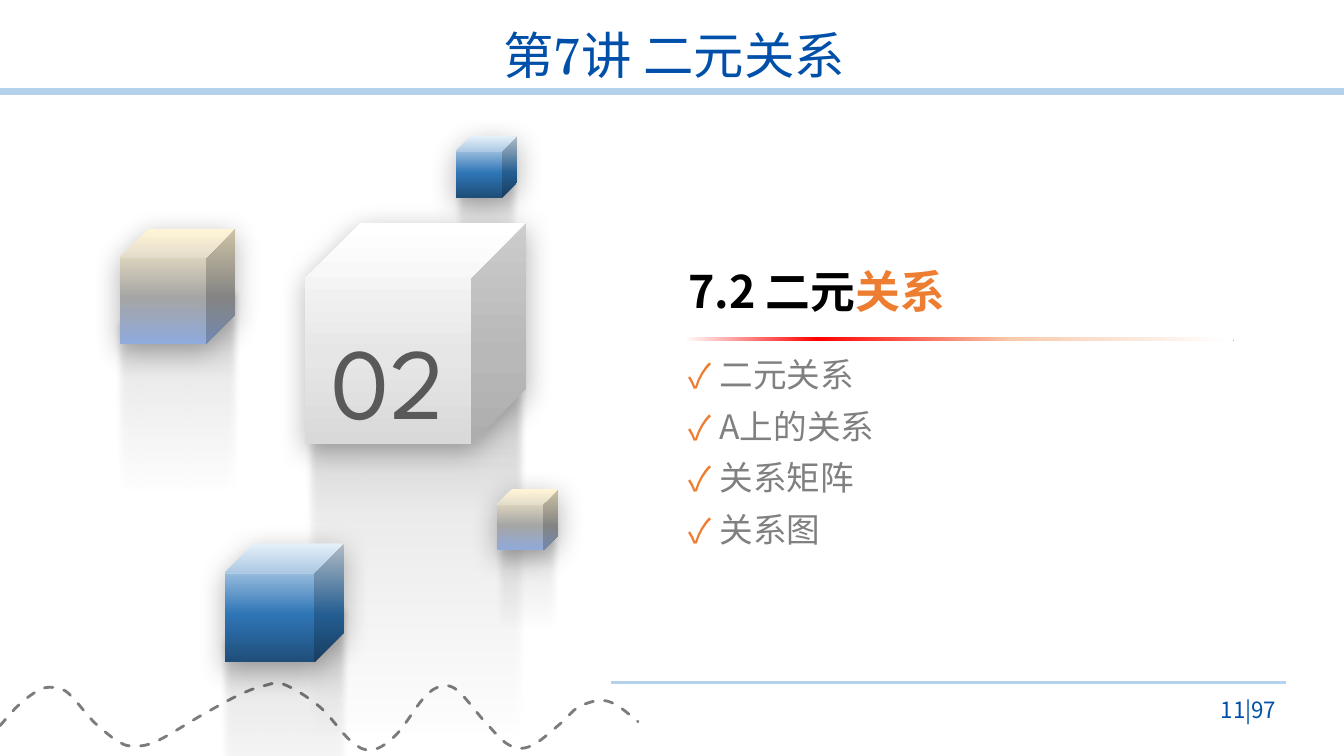
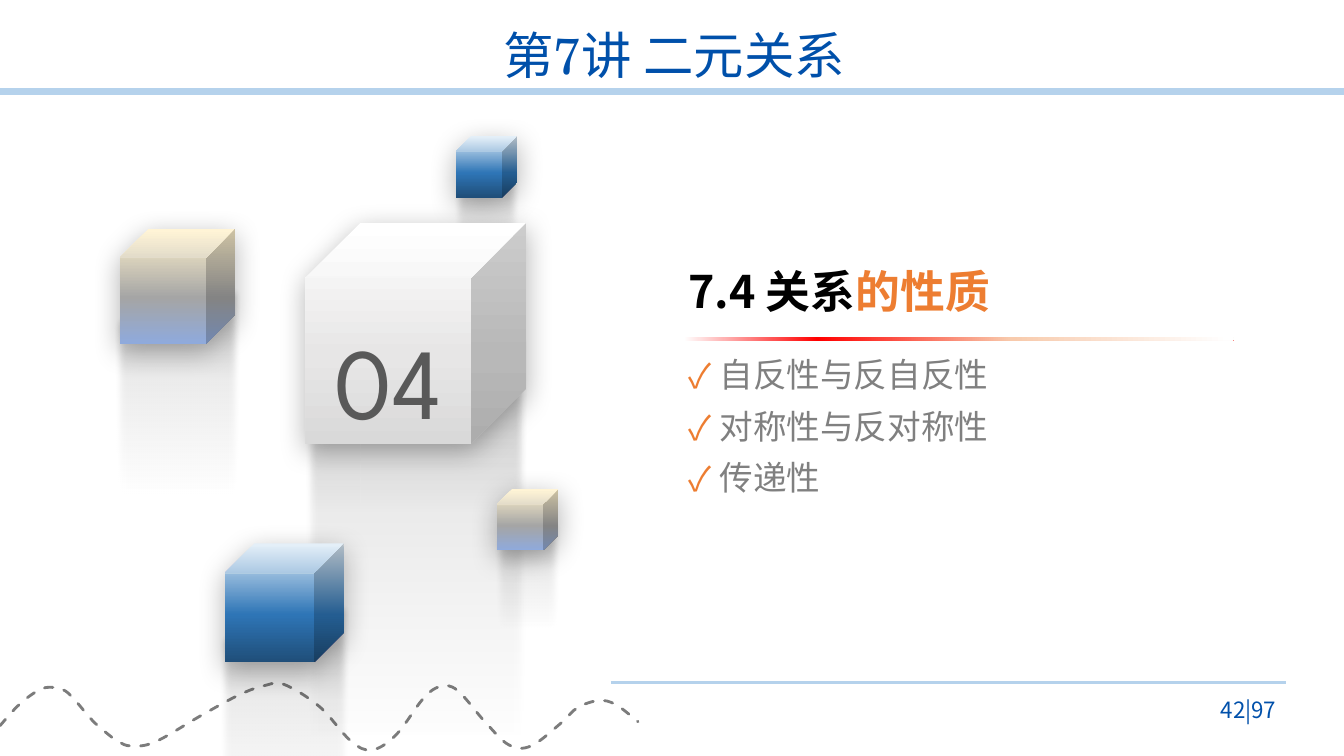
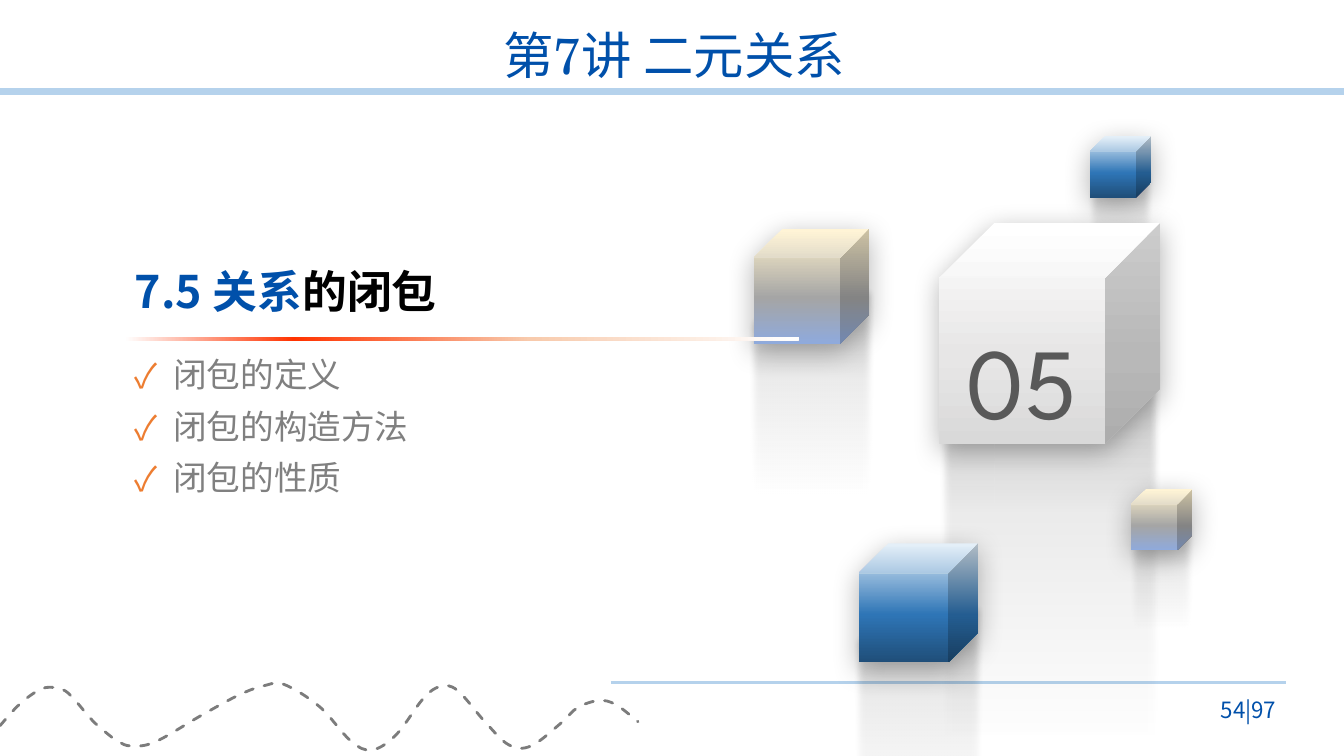
from dataclasses import dataclass
from lxml import etree
from pptx import Presentation
from pptx.dml.color import RGBColor
from pptx.enum.dml import MSO_LINE
from pptx.enum.shapes import MSO_CONNECTOR, MSO_SHAPE
from pptx.enum.text import MSO_ANCHOR, MSO_AUTO_SIZE, PP_ALIGN
from pptx.oxml import parse_xml
from pptx.oxml.ns import nsdecls, qn
from pptx.util import Inches, Pt

CUBE, ROUNDED = MSO_SHAPE.CUBE, MSO_SHAPE.ROUNDED_RECTANGLE
TOP, MIDDLE, BOTTOM = MSO_ANCHOR.TOP, MSO_ANCHOR.MIDDLE, MSO_ANCHOR.BOTTOM
LEFT, CENTER, RIGHT = PP_ALIGN.LEFT, PP_ALIGN.CENTER, PP_ALIGN.RIGHT


@dataclass(frozen=True)
class Theme:
    blue: str = "0050AA"
    band: str = "B5D2EC"
    black: str = "000000"
    orange: str = "ED7D31"
    gray: str = "808080"
    numeral: str = "595959"
    wave: str = "7C7C7C"
    body_font: str = "Noto Sans CJK SC"
    title_font: str = "TeX Gyre Schola"
    number_font: str = "League Spartan"
    title_size: int = 36
    heading_size: int = 32
    item_size: int = 24
    page_size: int = 16
    number_size: int = 72


THEME = Theme()

LECTURE = "第7讲 二元关系"
PAGE_TOTAL = 97
SECTIONS = [
    dict(number="02", page=11, cubes_left=1.13, text_left=6.73, heading_width=5.51,
         rule_width=5.51, rule_start=1, rule_color="FF0000", indent=0.31,
         heading=[("7.2 二元", THEME.black), ("关系", THEME.orange)],
         items=["二元关系", "A上的关系", "关系矩阵", "关系图"]),
    dict(number="04", page=42, cubes_left=1.13, text_left=6.73, heading_width=5.51,
         rule_width=5.51, rule_start=1, rule_color="FF0000", indent=0.31,
         heading=[("7.4 关系", THEME.black), ("的性质", THEME.orange)],
         items=["自反性与反自反性", "对称性与反对称性", "传递性"]),
    dict(number="05", page=54, cubes_left=7.42, text_left=1.24, heading_width=3.26,
         rule_width=6.69, rule_start=0, rule_color="FF3300", indent=0.38,
         heading=[("7.5 关系", THEME.blue), ("的闭包", THEME.black)],
         items=["闭包的定义", "闭包的构造方法", "闭包的性质"]),
]
ITEMS_TOP, ITEM_PITCH = 3.46, 1.54 / 3

BLUE_FADE = [(1, "DEEBF7"), (60, "2E75B6"), (100, "1F4E79")]
GOLD_FADE = [(1, "FFF2CC"), (60, "A5A5A5"), (100, "8FAADC")]
WHITE_FADE = [(0, "FFFFFF"), (60, "E7E6E6"), (100, "D9D9D9")]
TRAIL_FADE = [(30, "000000", 0), (50, "000000", 4), (70, "000000", 8), (100, "262626", 30)]

# left offset, top, size, trail width ratio, fade, numbered
CUBES = [
    (3.39, 1.35, 0.61, 1.11, BLUE_FADE, False),
    (1.9, 2.21, 2.19, 1.01, WHITE_FADE, True),
    (1.1, 5.39, 1.18, 1.11, BLUE_FADE, False),
    (3.8, 4.85, 0.61, 1.11, GOLD_FADE, False),
    (0.06, 2.27, 1.14, 1.11, GOLD_FADE, False),
]
TRAIL_HEIGHT = 2.71

WAVE = [
    (0, 7.2), (0.17, 7.01), (0.33, 6.88), (0.46, 6.82), (0.62, 6.84), (0.73, 6.93),
    (0.92, 7.15), (1.08, 7.29), (1.18, 7.36), (1.3, 7.4), (1.54, 7.36), (2.01, 7.09),
    (2.38, 6.89), (2.63, 6.8), (2.82, 6.79), (3.17, 7.01), (3.48, 7.35), (3.69, 7.44),
    (3.93, 7.29), (4.2, 6.93), (4.37, 6.81), (4.54, 6.85), (4.82, 7.17), (5.05, 7.39),
    (5.27, 7.4), (5.57, 7.17), (5.73, 7.02), (5.94, 6.95), (6.11, 6.99), (6.33, 7.16),
]


def rgb(color):
    return RGBColor.from_string(color)


def set_gradient(shape, stops, angle):
    shape.fill.background()
    shape.line.fill.background()
    shape.shadow.inherit = False
    marks = ""
    for position, color, *alpha in stops:
        opacity = f'<a:alpha val="{alpha[0] * 1000}"/>' if alpha else ""
        marks += f'<a:gs pos="{position * 1000}"><a:srgbClr val="{color}">{opacity}</a:srgbClr></a:gs>'
    gradient = parse_xml(
        f'<a:gradFill {nsdecls("a")} rotWithShape="1"><a:gsLst>{marks}</a:gsLst>'
        f'<a:lin ang="{angle * 60000}" scaled="0"/></a:gradFill>')
    properties = shape._element.spPr
    properties.replace(properties.find(qn("a:noFill")), gradient)


def add_effect(shape, markup):
    shape._element.spPr.find(qn("a:effectLst")).append(parse_xml(markup))


def style(paragraph, size, color, font=THEME.body_font, bold=False, align=LEFT):
    paragraph.alignment = align
    paragraph.font.size = Pt(size)
    paragraph.font.bold = bold
    paragraph.font.color.rgb = rgb(color)
    paragraph.font.name = font
    defaults = paragraph._p.pPr.find(qn("a:defRPr"))
    etree.SubElement(defaults, qn("a:ea")).set("typeface", THEME.body_font)


def add_box(slide, left, top, width, height, anchor, grow=True):
    box = slide.shapes.add_textbox(Inches(left), Inches(top), Inches(width), Inches(height))
    frame = box.text_frame
    frame.word_wrap = True
    frame.vertical_anchor = anchor
    if grow:
        frame.auto_size = MSO_AUTO_SIZE.SHAPE_TO_FIT_TEXT
    return frame


def add_line(slide, left, right, top, weight):
    line = slide.shapes.add_connector(
        MSO_CONNECTOR.STRAIGHT, Inches(left), Inches(top), Inches(right), Inches(top))
    line.line.color.rgb = rgb(THEME.band)
    line.line.width = Pt(weight)
    etree.SubElement(line._element.spPr, qn("a:effectLst"))


def round_corners(wave, points):
    padded = [points[0], *points, points[-1]]
    segments = list(wave._element.iter(qn("a:lnTo")))
    for segment, a, b, c, d in zip(segments, padded, padded[1:], padded[2:], padded[3:]):
        curve = etree.Element(qn("a:cubicBezTo"))
        leaving = [q + (r - p) / 6 for p, q, r in zip(a, b, c)]
        arriving = [r - (s - q) / 6 for q, r, s in zip(b, c, d)]
        for x, y in (leaving, arriving, c):
            point = etree.SubElement(curve, qn("a:pt"))
            point.set("x", str(round(x - wave.left)))
            point.set("y", str(round(y - wave.top)))
        segment.getparent().replace(segment, curve)


def add_wave(slide):
    points = [(Inches(x), Inches(y)) for x, y in WAVE]
    builder = slide.shapes.build_freeform(*points[0])
    builder.add_line_segments(points[1:], close=False)
    wave = builder.convert_to_shape()
    round_corners(wave, points)
    wave.shadow.inherit = False
    wave.fill.background()
    wave.line.color.rgb = rgb(THEME.wave)
    wave.line.width = Pt(2)
    wave.line.dash_style = MSO_LINE.DASH
    wave._element.spPr.find(qn("a:ln")).set("cap", "rnd")


def add_frame(slide, page):
    add_line(slide, 0, 13.33, 0.91, 5)
    add_line(slide, 6.06, 12.76, 6.77, 1.75)
    add_wave(slide)
    title = add_box(slide, 1.57, 0.25, 10.24, 0.65, MIDDLE).paragraphs[0]
    title.text = LECTURE
    title.line_spacing = 0.9
    style(title, THEME.title_size, THEME.blue, THEME.title_font, align=CENTER)
    footer = add_box(slide, 11.71, 6.84, 1.05, 0.4, MIDDLE, grow=False).paragraphs[0]
    footer.text = f"{page}|{PAGE_TOTAL}"
    style(footer, THEME.page_size, THEME.blue, align=RIGHT)


def add_cubes(slide, origin, number):
    for offset, top, size, ratio, fade, numbered in CUBES:
        left = origin + offset
        width = size * ratio
        group = slide.shapes.add_group_shape()
        trail = group.shapes.add_shape(
            CUBE, Inches(left - (width - size) / 2), Inches(top + size / 2),
            Inches(width), Inches(size * TRAIL_HEIGHT))
        trail.rotation = 180
        set_gradient(trail, TRAIL_FADE, 90)
        add_effect(trail, f'<a:softEdge {nsdecls("a")} rad="{Pt(5)}"/>')
        cube = group.shapes.add_shape(CUBE, Inches(left), Inches(top), Inches(size), Inches(size))
        set_gradient(cube, fade, 90)
        add_effect(cube, f'<a:outerShdw {nsdecls("a")} blurRad="{Pt(20)}" dist="{Pt(5)}" '
                         'dir="5400000" algn="t" rotWithShape="0"><a:srgbClr val="000000">'
                         '<a:alpha val="30000"/></a:srgbClr></a:outerShdw>')
        if numbered:
            cube.text_frame.vertical_anchor = MIDDLE
            label = cube.text_frame.paragraphs[0]
            label.text = number
            label.line_spacing = 1.3
            style(label, THEME.number_size, THEME.numeral, THEME.number_font, align=CENTER)


def add_bullet(paragraph, indent):
    properties = paragraph._p.get_or_add_pPr()
    properties.set("marL", str(Inches(indent)))
    properties.set("indent", str(-Inches(indent)))
    color = etree.SubElement(properties, qn("a:buClr"))
    etree.SubElement(color, qn("a:srgbClr")).set("val", THEME.orange)
    etree.SubElement(properties, qn("a:buFont")).set("typeface", THEME.body_font)
    etree.SubElement(properties, qn("a:buChar")).set("char", "✓")


def add_section_text(slide, section):
    left = section["text_left"]
    heading = add_box(slide, left, 2.56, section["heading_width"], 0.64, BOTTOM).paragraphs[0]
    style(heading, THEME.heading_size, THEME.black, bold=True)
    for text, color in section["heading"]:
        span = heading.add_run()
        span.text = text
        span.font.color.rgb = rgb(color)

    rule = slide.shapes.add_shape(
        ROUNDED, Inches(left), Inches(3.34), Inches(section["rule_width"]), Inches(0.04))
    rule.adjustments[0] = 0.5
    set_gradient(rule, [(section["rule_start"], "FFFFFF"), (25, section["rule_color"]),
                        (60, "F8CBAD"), (99, "FFFFFF")], 0)

    for index, item in enumerate(section["items"]):
        para = add_box(slide, left, ITEMS_TOP + index * ITEM_PITCH, 4.72, 0.5, TOP).paragraphs[0]
        para.text = item
        add_bullet(para, section["indent"])
        style(para, THEME.item_size, THEME.gray)


def main():
    deck = Presentation()
    deck.slide_height = Inches(7.5)
    deck.slide_width = deck.slide_height * 16 // 9
    for section in SECTIONS:
        slide = deck.slides.add_slide(deck.slide_layouts[6])
        add_frame(slide, section["page"])
        add_cubes(slide, section["cubes_left"], section["number"])
        add_section_text(slide, section)
    deck.save("out.pptx")


if __name__ == "__main__":
    main()
